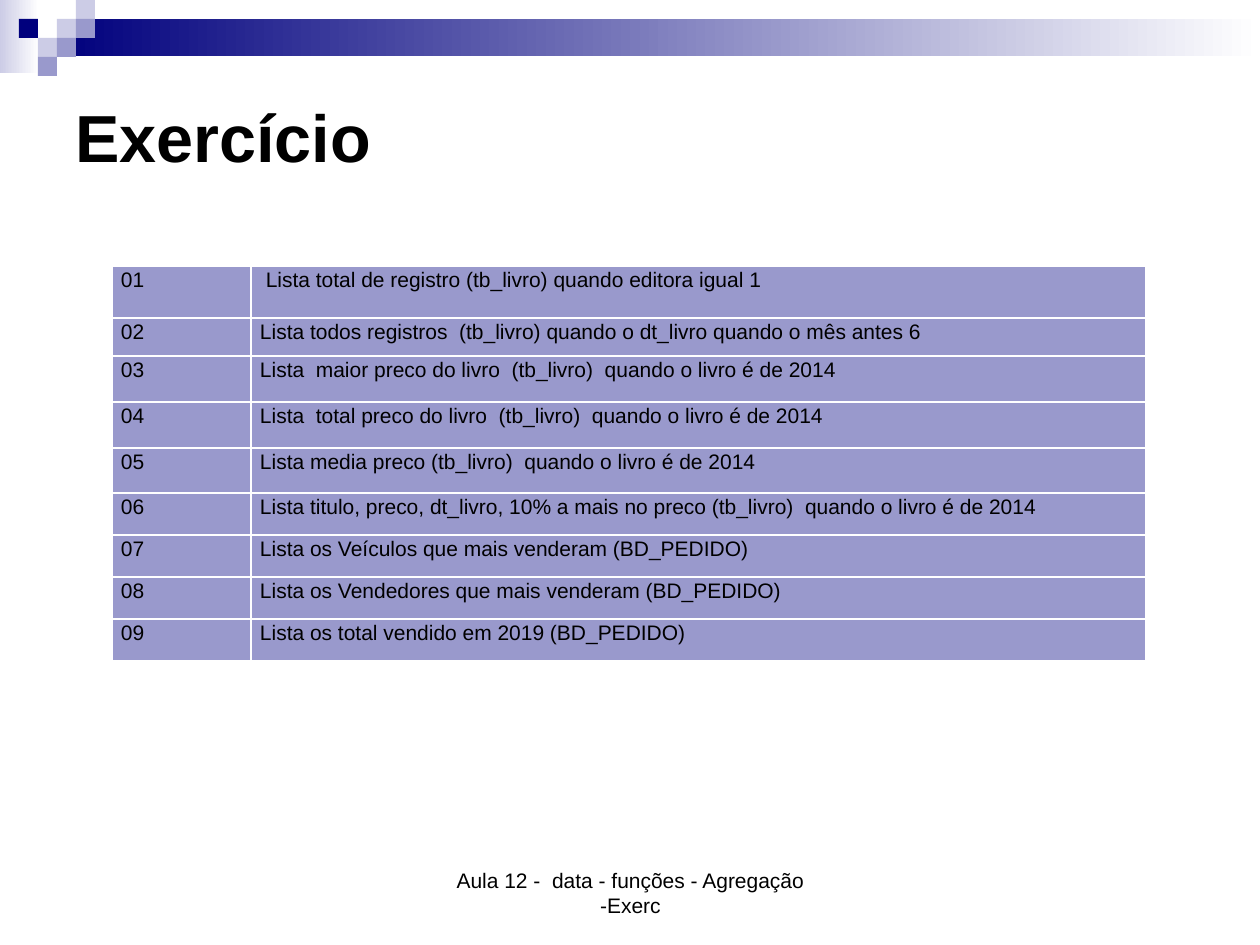
import pptx
import pptx.dml.color
import pptx.enum.shapes
import pptx.enum.text
import pptx.util

ANCHOR = pptx.enum.text.MSO_ANCHOR
ALIGN = pptx.enum.text.PP_ALIGN
NAVY, LILAC, PALE, WHITE, BLACK = "00007D", "9999CC", "CCCCE6", "FFFFFF", "000000"


def px(n):
    return pptx.util.Emu(round(n * 914400 / 126))


def color(value):
    return pptx.dml.color.RGBColor.from_string(value)


class Deck:
    font = "Arial"

    def __init__(self, width, height):
        self.prs = pptx.Presentation()
        self.prs.slide_width, self.prs.slide_height = px(width), px(height)
        self.s = self.prs.slides.add_slide(self.prs.slide_layouts[6])

    def box(self, x, y, w, h, fill, fade=None):
        sp = self.s.shapes.add_shape(
            pptx.enum.shapes.MSO_SHAPE.RECTANGLE, px(x), px(y), px(w), px(h))
        sp.shadow.inherit = False
        sp.line.fill.background()
        if fade:
            sp.fill.gradient()
            sp.fill.gradient_angle = 0
            for stop, value in zip(sp.fill.gradient_stops, (fill, fade)):
                stop.color.rgb = color(value)
        else:
            sp.fill.solid()
            sp.fill.fore_color.rgb = color(fill)

    def style(self, tf, size, bold=False, align=ALIGN.LEFT, spacing=None):
        for p in tf.paragraphs:
            p.alignment = align
            p.line_spacing = spacing
            for r in p.runs:
                r.font.name, r.font.size = self.font, pptx.util.Pt(size)
                r.font.bold, r.font.color.rgb = bold, color(BLACK)

    def text(self, x, y, w, h, text, size, anchor, **look):
        tf = self.s.shapes.add_textbox(px(x), px(y), px(w), px(h)).text_frame
        tf.word_wrap = True
        tf.vertical_anchor = anchor
        tf.text = text
        self.style(tf, size, **look)

    def table(self, x, y, widths, heights, rows, fill, size):
        table = self.s.shapes.add_table(
            len(rows), len(widths), px(x), px(y),
            px(sum(widths)), px(sum(heights))).table
        table.first_row = table.horz_banding = False
        for column, width in zip(table.columns, widths):
            column.width = px(width)
        for row, height, values in zip(table.rows, heights, rows):
            row.height = px(height)
            for cell, value in zip(row.cells, values):
                cell.fill.solid()
                cell.fill.fore_color.rgb = color(fill)
                cell.margin_left = cell.margin_right = px(9)
                cell.margin_top, cell.margin_bottom = px(1), 0
                cell.text_frame.text = value
                self.style(cell.text_frame, size, spacing=1.07)


def main():
    deck = Deck(1260, 945)

    deck.box(0, 0, 39, 73, PALE, fade=WHITE)
    deck.box(57, 19, 1203, 37, NAVY, fade=WHITE)
    side = 19
    squares = [(3, 1, PALE), (4, 0, PALE), (4, 1, LILAC), (2, 2, PALE),
               (1, 1, NAVY), (3, 2, LILAC), (2, 3, LILAC)]
    for column, row, fill in squares:
        deck.box(column * side, row * side, side, side, fill)

    deck.text(63, 96, 1134, 79, "Exercício", 38, ANCHOR.MIDDLE, bold=True)
    deck.text(431, 861, 399, 63, "Aula 12 -  data - funções - Agregação -Exerc",
              12, ANCHOR.BOTTOM, align=ALIGN.CENTER)

    exercises = [
        " Lista total de registro (tb_livro) quando editora igual 1",
        "Lista todos registros  (tb_livro) quando o dt_livro quando o mês antes 6",
        "Lista  maior preco do livro  (tb_livro)  quando o livro é de 2014",
        "Lista  total preco do livro  (tb_livro)  quando o livro é de 2014",
        "Lista media preco (tb_livro)  quando o livro é de 2014",
        "Lista titulo, preco, dt_livro, 10% a mais no preco (tb_livro)  quando o livro é de 2014",
        "Lista os Veículos que mais venderam (BD_PEDIDO)",
        "Lista os Vendedores que mais venderam (BD_PEDIDO)",
        "Lista os total vendido em 2019 (BD_PEDIDO)",
    ]
    rows = [(f"{n:02}", exercise) for n, exercise in enumerate(exercises, 1)]
    heights = [52, 38, 46, 46, 45] + [42] * 4
    deck.table(112, 266, [139, 895], heights, rows, LILAC, 12)

    deck.prs.save("out.pptx")


if __name__ == "__main__":
    main()
